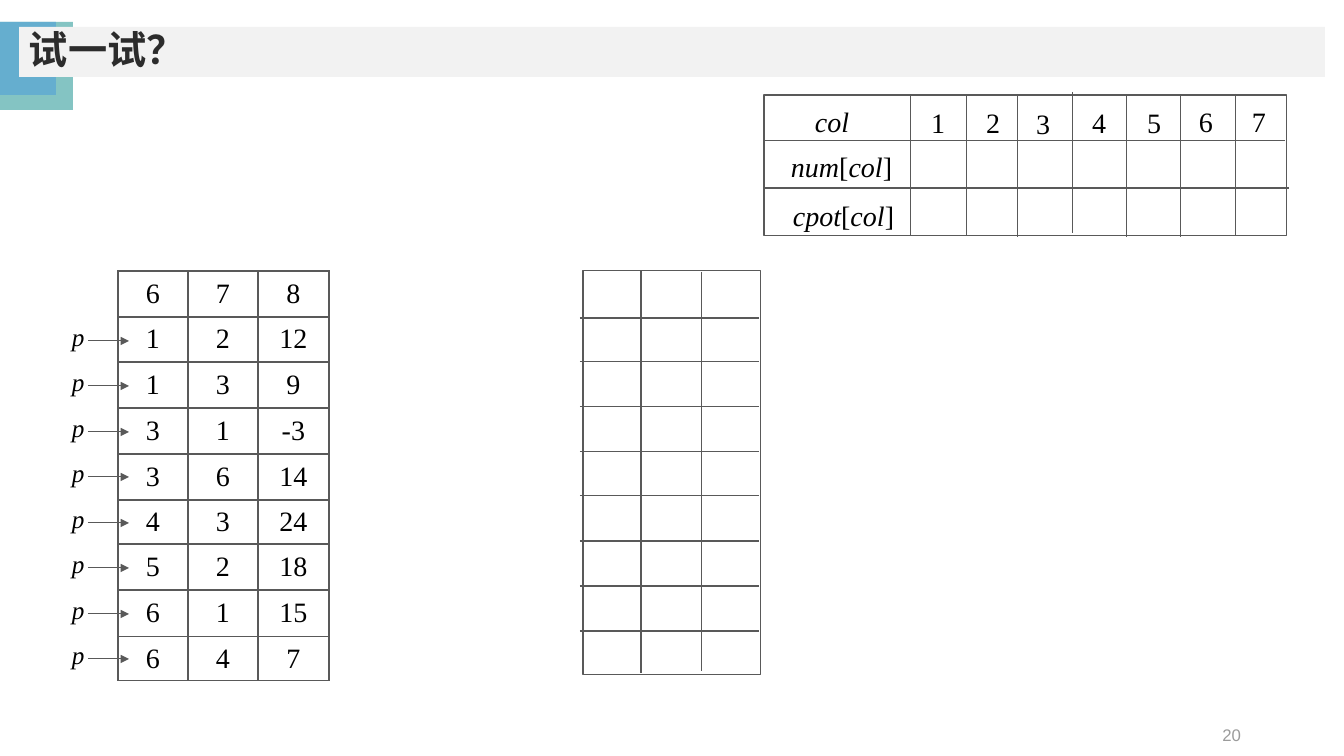
import pptx
import pptx.util
import pptx.dml.color
import pptx.enum.shapes
import pptx.enum.text
import pptx.oxml.ns
import lxml.etree

# Content
TITLE = "试一试？"
PAGE = "20"
TRIPLES = [
    (6, 7, 8), (1, 2, 12), (1, 3, 9), (3, 1, -3), (3, 6, 14),
    (4, 3, 24), (5, 2, 18), (6, 1, 15), (6, 4, 7),
]
# Row labels: runs as (text, italic), then box
LABELS = [
    ([("col", True)], (805, 100, 54, 42)),
    ([("num", True), ("[", False), ("col", True), ("]", False)], (780, 145, 123, 42)),
    ([("cpot", True), ("[", False), ("col", True), ("]", False)], (783, 194, 121, 42)),
]
# Column numbers: digit, left rule x and top, text left and top
COLUMNS = [
    ("1", 911, 95, 921, 101), ("2", 967, 95, 976, 101),
    ("3", 1018, 96, 1026, 102), ("4", 1073, 92, 1082, 101),
    ("5", 1127, 96, 1137, 101), ("6", 1181, 96, 1189, 100),
    ("7", 1236, 94, 1242, 100),
]
COL_WIDTHS = [71, 70, 70, 71]
ROW_HEIGHTS = [46, 45, 46, 46, 46, 44, 46, 47, 44]

PX = 914400 / 100.8
INK, BLACK = "595959", "000000"
SERIF, SANS = "Times New Roman", "Arial"
ALIGN = pptx.enum.text.PP_ALIGN
MIDDLE = pptx.enum.text.MSO_ANCHOR.MIDDLE
TOP = pptx.enum.text.MSO_ANCHOR.TOP
GROW = pptx.enum.text.MSO_AUTO_SIZE.SHAPE_TO_FIT_TEXT
qn = pptx.oxml.ns.qn


def px(n):
    return pptx.util.Emu(round(n * PX))


def color(value):
    return pptx.dml.color.RGBColor.from_string(value)


def style(r, size, font=SERIF, ink=BLACK, italic=False, bold=False):
    r.font.size = pptx.util.Pt(size)
    r.font.name = font
    r.font.color.rgb = color(ink)
    r.font.italic = italic
    r.font.bold = bold


def rect(x, y, w, h, fill=None, line=None):
    s = slide.shapes.add_shape(pptx.enum.shapes.MSO_SHAPE.RECTANGLE,
                               px(x), px(y), px(w), px(h))
    s.shadow.inherit = False
    if fill:
        s.fill.solid()
        s.fill.fore_color.rgb = color(fill)
    else:
        s.fill.background()
    if line:
        s.line.color.rgb = color(line)
        s.line.width = pptx.util.Pt(0.75)
    else:
        s.line.fill.background()
    return s


def rule(x1, y1, x2, y2, arrow=False):
    c = slide.shapes.add_connector(pptx.enum.shapes.MSO_CONNECTOR.STRAIGHT,
                                   px(x1), px(y1), px(x2), px(y2))
    c.line.color.rgb = color(INK)
    c.line.width = pptx.util.Pt(0.75)
    spPr = c._element.spPr
    if arrow:
        lxml.etree.SubElement(spPr.find(qn("a:ln")), qn("a:tailEnd"), type="triangle")
    lxml.etree.SubElement(spPr, qn("a:effectLst"))


def text(runs, box, size=20, align=ALIGN.CENTER, anchor=MIDDLE, font=SERIF, ink=BLACK):
    tf = slide.shapes.add_textbox(*map(px, box)).text_frame
    tf.word_wrap = False
    tf.vertical_anchor = anchor
    if align == ALIGN.CENTER:
        tf.auto_size = GROW
        tf.margin_left = tf.margin_right = 0
    p = tf.paragraphs[0]
    p.alignment = align
    for words, italic in runs:
        r = p.add_run()
        r.text = words
        style(r, size, font, ink, italic)


def border(cell, sides):
    tcPr = cell._tc.get_or_add_tcPr()
    for side in ("L", "R", "T", "B"):
        drawn = side in sides
        ln = lxml.etree.SubElement(tcPr, qn("a:ln" + side), w="12700" if drawn else "0")
        fill = lxml.etree.SubElement(ln, qn("a:solidFill" if drawn else "a:noFill"))
        if drawn:
            lxml.etree.SubElement(fill, qn("a:srgbClr"), val=INK)


prs = pptx.Presentation()
prs.slide_width, prs.slide_height = px(1344), px(756)
slide = prs.slides.add_slide(prs.slide_layouts[6])

# Heading band and page number
rect(0, 22, 73, 88, fill="84C4C3")
rect(0, 22, 56, 73, fill="65AECF")
tf = rect(19, 27, 1306, 50, fill="F2F2F2").text_frame
tf.text = TITLE
tf.word_wrap = True
tf.vertical_anchor = MIDDLE
p = tf.paragraphs[0]
p.alignment = ALIGN.LEFT
p.line_spacing = 0.9
style(p.runs[0], 28, SANS, "2C2C2C", bold=True)
text([(PAGE, False)], (949, 715, 302, 40), 12, ALIGN.RIGHT, font=SANS, ink="9B9B9B")

# Empty grid for the result
rect(583, 271, 178, 404, line=INK)
rule(641, 271, 641, 673)
rule(702, 272, 702, 671)
for i in range(8):
    y = 318 + 313 * i // 7
    rule(580, y, 759, y)

# Column count grid
rect(764, 95, 523, 141, line=INK)
rule(764, 141, 1285, 141)
rule(764, 188, 1289, 188)
for runs, box in LABELS:
    text(runs, box)
for digit, x, top, text_x, text_y in COLUMNS:
    rule(x, top, x, top + 141)
    text([(digit, False)], (text_x, text_y, 34, 42))

# Pointers, one for each row after the first
for i in range(len(TRIPLES) - 1):
    y = 341 + 91 * i // 2
    rule(88, y, 129, y, arrow=True)
    text([("p", True)], (62, y - 25, 33, 40), 18, ALIGN.LEFT, TOP)

# Triple table, with an open first column for the pointers
table = slide.shapes.add_table(len(TRIPLES), len(COL_WIDTHS), px(47), px(271),
                               px(sum(COL_WIDTHS)), px(sum(ROW_HEIGHTS))).table
table.first_row = table.horz_banding = False
for column, width in zip(table.columns, COL_WIDTHS):
    column.width = px(width)
for i, triple in enumerate(TRIPLES):
    table.rows[i].height = px(ROW_HEIGHTS[i])
    for j, value in enumerate(("",) + triple):
        cell = table.cell(i, j)
        border(cell, "LRTB" if j else "R")
        cell.fill.background()
        cell.vertical_anchor = MIDDLE
        cell.margin_left = cell.margin_right = px(7)
        cell.margin_top = cell.margin_bottom = 0
        if j:
            cell.text_frame.text = str(value)
            p = cell.text_frame.paragraphs[0]
            p.alignment = ALIGN.CENTER
            style(p.runs[0], 20)

prs.save("out.pptx")
